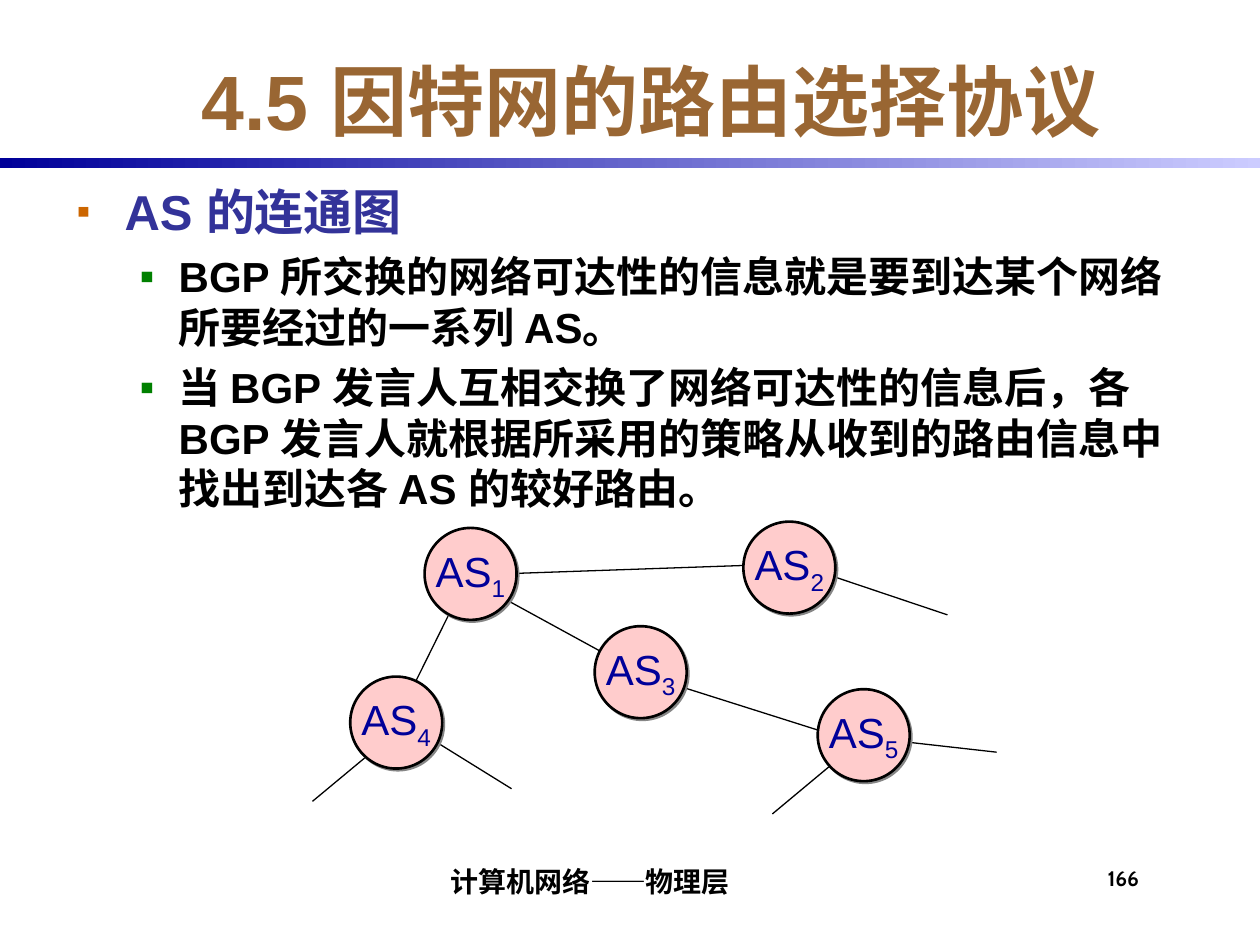
"""Build a slide on the connectivity graph of autonomous systems in BGP."""
from lxml import etree
from pptx import Presentation
from pptx import util as u
from pptx.dml.color import RGBColor
from pptx.enum import shapes, text
from pptx.oxml import parse_xml
from pptx.oxml.ns import nsdecls, qn

BROWN = RGBColor(0x99, 0x66, 0x33)
INDIGO = RGBColor(0x33, 0x33, 0x99)
NAVY = RGBColor(0x00, 0x00, 0x99)
LAVENDER = RGBColor(0xCC, 0xCC, 0xFF)
PINK = RGBColor(0xFF, 0xCC, 0xCC)
BLACK = RGBColor(0x00, 0x00, 0x00)
ORANGE = RGBColor(0xCC, 0x66, 0x00)
GREEN = RGBColor(0x00, 0x80, 0x00)
GREY = RGBColor(0x86, 0x86, 0x86)

WIDTH, HEIGHT = 10, 7.5
NODE_SIZE = 0.73
STANDARD_INSETS = (0.1, 0.05, 0.1, 0.05)

TITLE = "4.5 因特网的路由选择协议"
HEADING = "AS 的连通图"
POINTS = [
    "BGP 所交换的网络可达性的信息就是要到达某个网络所要经过的一系列 AS。",
    "当 BGP 发言人互相交换了网络可达性的信息后，各 BGP 发言人就根据所采用的策略"
    "从收到的路由信息中找出到达各 AS 的较好路由。",
]
FOOTER = "计算机网络——物理层"
PAGE = "166"
SYSTEMS = {"1": (3.37, 4.19), "2": (5.9, 4.14), "3": (4.72, 4.97),
           "4": (2.78, 5.37), "5": (6.49, 5.47)}
LINKS = [
    ((3.27, 5.77), (4.06, 6.26)),
    ((3.07, 5.87), (2.48, 6.36)),
    ((6.73, 5.96), (6.13, 6.46)),
    ((3.83, 4.56), (6.13, 4.48)),
    ((6.33, 4.48), (7.52, 4.88)),
    ((3.78, 4.63), (4.95, 5.27)),
    ((5.15, 5.37), (6.73, 5.87)),
    ((7.02, 5.87), (7.91, 5.97)),
    ((3.17, 5.67), (3.66, 4.68)),
]


def inches(*lengths):
    return [u.Inches(length) for length in lengths]


def set_frame(frame, insets=STANDARD_INSETS, anchor=text.MSO_ANCHOR.TOP, wrap=True):
    frame.margin_left, frame.margin_top, frame.margin_right, frame.margin_bottom = inches(*insets)
    frame.vertical_anchor = anchor
    frame.word_wrap = wrap
    return frame


def write(paragraph, words, size, color, font="Arial", bold=True, align=None, subscript=False):
    run = paragraph.add_run()
    run.text = words
    run.font.size = u.Pt(size)
    run.font.name = font
    run.font.bold = bold
    run.font.color.rgb = color
    if align is not None:
        paragraph.alignment = align
    if subscript:
        run._r.get_or_add_rPr().set("baseline", "-25000")


def add_bullet(paragraph, color, indent, hanging, percent):
    properties = paragraph._p.get_or_add_pPr()
    properties.set("marL", str(u.Inches(indent)))
    properties.set("indent", str(-u.Inches(hanging)))
    marker_color = etree.SubElement(properties, qn("a:buClr"))
    etree.SubElement(marker_color, qn("a:srgbClr"), val=str(color))
    etree.SubElement(properties, qn("a:buSzPct"), val=str(percent * 1000))
    etree.SubElement(properties, qn("a:buFont"), typeface="Arial")
    etree.SubElement(properties, qn("a:buChar"), char="▪")


def add_label(slide, box, words, size, color, font, align=None, **frame_format):
    label = slide.shapes.add_textbox(*inches(*box))
    frame = set_frame(label.text_frame, **frame_format)
    write(frame.paragraphs[0], words, size, color, font=font, align=align)


def add_body(slide):
    body = slide.shapes.add_textbox(*inches(0.51, 1.39, 8.98, 5))
    frame = set_frame(body.text_frame)
    heading = frame.paragraphs[0]
    add_bullet(heading, ORANGE, 0.38, 0.38, 80)
    write(heading, HEADING, 28, INDIGO)
    for words in POINTS:
        point = frame.add_paragraph()
        point.level = 1
        point.space_before = u.Pt(6)
        add_bullet(point, GREEN, 0.81, 0.31, 100)
        write(point, words, 24, BLACK)


def add_rule(slide):
    rule = slide.shapes.add_shape(shapes.MSO_SHAPE.RECTANGLE, *inches(0, 1.25, WIDTH, 0.08))
    rule.shadow.inherit = False
    rule.line.fill.background()
    rule.fill.gradient()
    rule.fill.gradient_angle = 0
    for stop, color in zip(rule.fill.gradient_stops, (NAVY, LAVENDER)):
        stop.color.rgb = color


def add_link(slide, start, end):
    link = slide.shapes.add_connector(shapes.MSO_CONNECTOR.STRAIGHT, *inches(*start, *end))
    link.line.color.rgb = BLACK
    link.line.width = u.Pt(0.75)
    etree.SubElement(link._element.spPr, qn("a:effectLst"))


def add_system(slide, number, corner):
    node = slide.shapes.add_shape(
        shapes.MSO_SHAPE.OVAL, *inches(*corner, NODE_SIZE, NODE_SIZE))
    node.fill.solid()
    node.fill.fore_color.rgb = PINK
    node.line.color.rgb = BLACK
    node.line.width = u.Pt(1.5)
    node.shadow.inherit = False
    node._element.spPr.find(qn("a:effectLst")).append(parse_xml(
        f'<a:outerShdw {nsdecls("a")} dist="{u.Pt(1.4)}" dir="2700000" algn="ctr" '
        f'rotWithShape="0"><a:srgbClr val="{GREY}"/></a:outerShdw>'))
    frame = set_frame(node.text_frame, anchor=text.MSO_ANCHOR.MIDDLE, wrap=False)
    for words, lowered in (("AS", False), (number, True)):
        write(frame.paragraphs[0], words, 24, NAVY, bold=False,
              align=text.PP_ALIGN.CENTER, subscript=lowered)


def main():
    deck = Presentation()
    deck.slide_width, deck.slide_height = inches(WIDTH, HEIGHT)
    slide = deck.slides.add_slide(deck.slide_layouts[6])
    add_rule(slide)
    add_label(slide, (8.75, 6.83, 0.58, 0.42), PAGE, 12, BLACK, "Cabin",
              insets=(0.04, 0.04, 0, 0))
    add_label(slide, (0.92, 0.33, 8.5, 0.92), TITLE, 44, BROWN, "Arial",
              align=text.PP_ALIGN.CENTER, anchor=text.MSO_ANCHOR.MIDDLE)
    add_body(slide)
    for start, end in LINKS:
        add_link(slide, start, end)
    for number, corner in SYSTEMS.items():
        add_system(slide, number, corner)
    add_label(slide, (2.08, 6.75, 5.17, 0.42), FOOTER, 16, BLACK, "Cabin",
              align=text.PP_ALIGN.CENTER, anchor=text.MSO_ANCHOR.BOTTOM,
              insets=(0.04, 0, 0, 0.04))
    deck.save("out.pptx")


if __name__ == "__main__":
    main()
